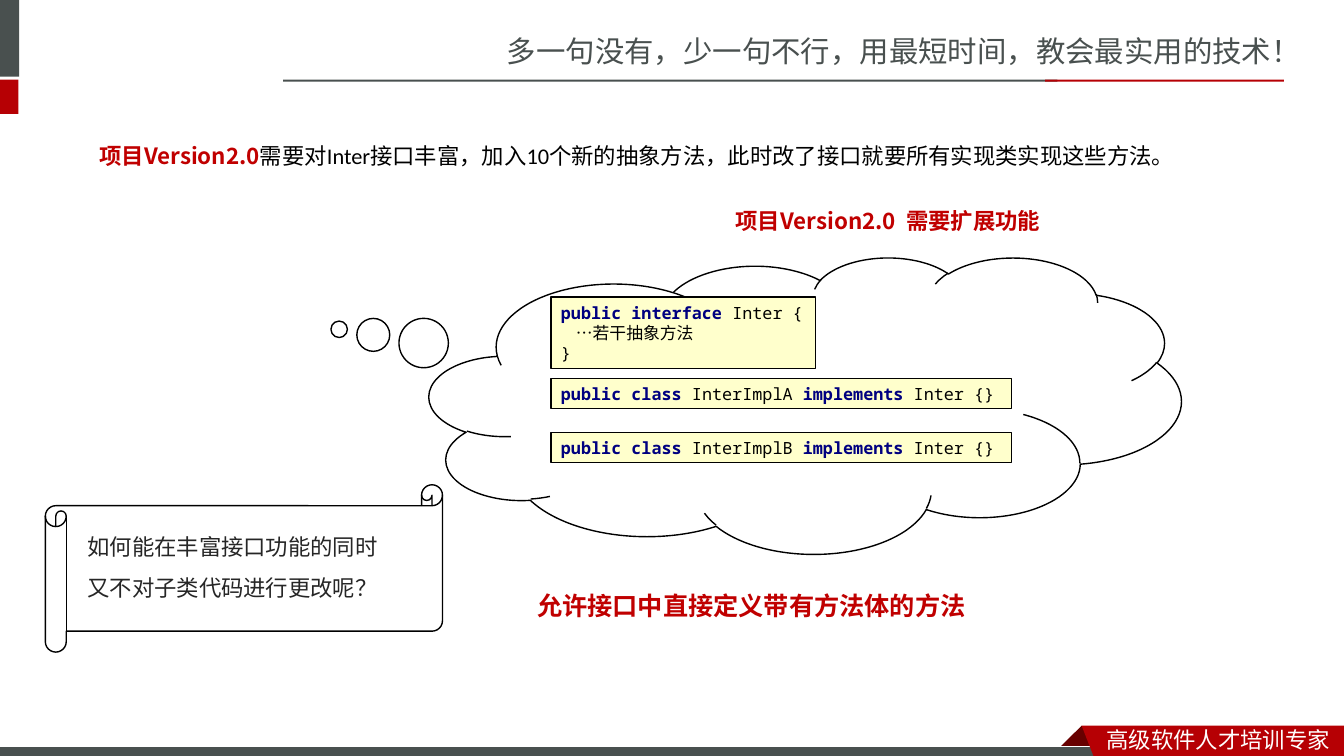
import pptx
import pptx.util
import pptx.dml.color
import pptx.enum.shapes
import pptx.enum.text
import pptx.oxml
import pptx.oxml.ns

Pt = pptx.util.Pt
RGBColor = pptx.dml.color.RGBColor
MSO_SHAPE = pptx.enum.shapes.MSO_SHAPE
ANCHOR = pptx.enum.text.MSO_ANCHOR
ALIGN = pptx.enum.text.PP_ALIGN

SLATE = RGBColor(0x49, 0x50, 0x4F)
BRAND_RED = RGBColor(0xB6, 0x00, 0x04)
FOLD_RED = RGBColor(0x68, 0x00, 0x00)
TEXT_RED = RGBColor(0xC0, 0x00, 0x00)
KEYWORD_NAVY = RGBColor(0x00, 0x00, 0x80)
CODE_YELLOW = RGBColor(0xFF, 0xFF, 0xCC)
CHARCOAL = RGBColor(0x26, 0x26, 0x26)
BLACK = RGBColor(0, 0, 0)
WHITE = RGBColor(0xFF, 0xFF, 0xFF)

SANS_SC = "Noto Sans CJK SC"
SANS_JP = "Noto Sans CJK JP"
MONO = "Noto Sans Mono"
BODY = "Calibri"

prs = pptx.Presentation()
prs.slide_width = Pt(960)
prs.slide_height = Pt(540)
slide = prs.slides.add_slide(prs.slide_layouts[6])
shapes = slide.shapes


def paint(shape, fill=None, line=None, width=1):
    shape.shadow.inherit = False
    if fill is None:
        shape.fill.background()
    else:
        shape.fill.solid()
        shape.fill.fore_color.rgb = fill
    if line is None:
        shape.line.fill.background()
    else:
        shape.line.color.rgb = line
        shape.line.width = Pt(width)


def write(shape, paragraphs, size, spacing=1.0, wrap=True):
    """Fill a shape with paragraphs, each a list of (text, font, colour, bold)."""
    frame = shape.text_frame
    frame.word_wrap = wrap
    for index, runs in enumerate(paragraphs):
        paragraph = frame.add_paragraph() if index else frame.paragraphs[0]
        paragraph.alignment = ALIGN.LEFT
        paragraph.line_spacing = spacing
        for text, font, colour, bold in runs:
            run = paragraph.add_run()
            run.text = text
            run.font.size = Pt(size)
            run.font.bold = bold
            run.font.color.rgb = colour
            run.font.name = font
            east_asian = pptx.oxml.parse_xml(
                '<a:ea xmlns:a="http://schemas.openxmlformats.org/drawingml/2006/main"/>')
            east_asian.set("typeface", SANS_JP if font == SANS_JP else SANS_SC)
            run.font._element.find(pptx.oxml.ns.qn("a:latin")).addnext(east_asian)


# Header and footer
slogan = shapes.add_textbox(Pt(355), Pt(20), Pt(605), Pt(34))
write(slogan, [[("多一句没有，少一句不行，用最短时间，教会最实用的技术！", SANS_SC, SLATE, False)]], 21)

for left, top, width, height, colour in (
    (-4.3, 0, 18, 54.7, SLATE),
    (-4.3, 56.9, 17.5, 24.5, BRAND_RED),
    (202.3, 56.9, 553, 1.5, SLATE),
    (746.6, 56.9, 170.5, 1.5, BRAND_RED),
):
    bar = shapes.add_shape(MSO_SHAPE.RECTANGLE, Pt(left), Pt(top), Pt(width), Pt(height))
    paint(bar, colour)

ribbon_fold = [(772.6, 518.4), (788.4, 534.2), (787.7, 535), (757.4, 535), (756.7, 534.2)]
ribbon_face = [(772.6, 518.4), (960, 518.4), (960, 542.9), (781.9, 542.2)]
for outline, colour in ((ribbon_fold, FOLD_RED), (ribbon_face, BRAND_RED)):
    corners = [(Pt(x), Pt(y)) for x, y in outline]
    builder = shapes.build_freeform(*corners[0])
    builder.add_line_segments(corners[1:], close=True)
    paint(builder.convert_to_shape(), colour)
    if outline is ribbon_fold:
        footer_bar = shapes.add_shape(MSO_SHAPE.RECTANGLE, Pt(-0.7), Pt(533.5), Pt(792), Pt(8.6))
        paint(footer_bar, SLATE, WHITE, 0.75)

footer = shapes.add_textbox(Pt(783.4), Pt(514.8), Pt(176.6), Pt(26.6))
write(footer, [[("高级软件人才培训专家", SANS_SC, WHITE, False)]], 16)

# Problem statement
problem = shapes.add_textbox(Pt(64), Pt(88.5), Pt(879), Pt(65.5))
write(problem, [[
    ("项目Version2.0", SANS_JP, TEXT_RED, True),
    ("需要对Inter接口丰富，加入10个新的抽象方法，此时改了接口就要所有实现类实现这些方法。",
     BODY, BLACK, False),
]], 16, spacing=1.5)

# Thought cloud with code
cloud = shapes.add_shape(MSO_SHAPE.CLOUD_CALLOUT, Pt(306.7), Pt(183.6), Pt(537), Pt(211.7))
cloud.adjustments[0] = -0.62
cloud.adjustments[1] = -0.256
paint(cloud, line=BLACK)

interface_code = [
    [("public interface ", MONO, KEYWORD_NAVY, True), ("Inter {", MONO, BLACK, False)],
    [("    …若干抽象方法", MONO, BLACK, False)],
    [("}", MONO, BLACK, False)],
]
code_blocks = [(212.2, 188.8, 51.1, interface_code)]
for top, class_name in ((270.2, "InterImplA "), (308.8, "InterImplB ")):
    code_blocks.append((top, 329, 21.6, [[
        ("public class ", MONO, KEYWORD_NAVY, True),
        (class_name, MONO, BLACK, False),
        ("implements ", MONO, KEYWORD_NAVY, True),
        ("Inter {}", MONO, BLACK, False),
    ]]))
for top, width, height, code in code_blocks:
    code_box = shapes.add_shape(MSO_SHAPE.RECTANGLE, Pt(393.6), Pt(top), Pt(width), Pt(height))
    paint(code_box, CODE_YELLOW, BLACK)
    code_box.text_frame.vertical_anchor = ANCHOR.MIDDLE
    write(code_box, code, 12)

cloud_title = shapes.add_textbox(Pt(518.4), Pt(144.7), Pt(280), Pt(26.6))
write(cloud_title, [[("项目Version2.0  需要扩展功能", SANS_JP, TEXT_RED, True)]], 16)

# Question and answer
scroll = shapes.add_shape(MSO_SHAPE.HORIZONTAL_SCROLL, Pt(32.4), Pt(346.3), Pt(283.7), Pt(119.5))
paint(scroll, line=BLACK)
question = shapes.add_textbox(Pt(55.4), Pt(368), Pt(224.6), Pt(62.6))
write(question, [
    [("如何能在丰富接口功能的同时", BODY, CHARCOAL, False)],
    [("又不对子类代码进行更改呢？", BODY, CHARCOAL, False)],
], 16, spacing=1.5, wrap=False)

answer = shapes.add_textbox(Pt(376.6), Pt(418.3), Pt(488), Pt(28.8))
write(answer, [[("允许接口中直接定义带有方法体的方法", BODY, TEXT_RED, True)]], 18)

prs.save("out.pptx")
